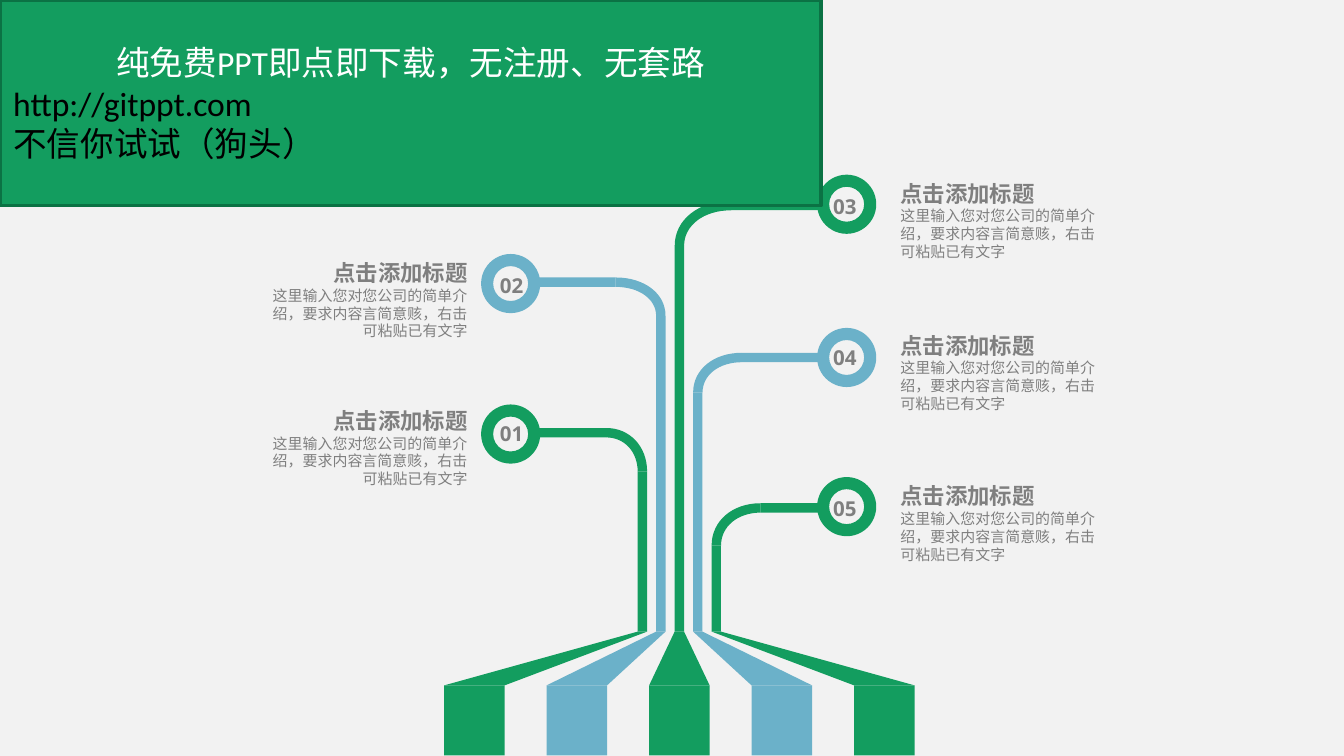
from lxml import etree
from pptx import Presentation
from pptx import util as u
from pptx.dml.color import RGBColor
from pptx.enum import shapes, text
from pptx.oxml.ns import qn

# Content
GREEN, BLUE, GREY = "139D5F", "6BB1C9", "7F7F7F"
BANNER = ["纯免费PPT即点即下载，无注册、无套路", "http://gitppt.com", "不信你试试（狗头）"]
TITLE = "点击添加标题"
BODY = "这里输入您对您公司的简单介绍，要求内容言简意赅，右击可粘贴已有文字"
# number, colour, side (-1 left, 1 right), caption top, ring centre y, arm y, bend x, stem top
BRANCHES = [
    ("01", GREEN, -1, 2.99, 3.23, 3.22, 4.51, 3.51),
    ("02", BLUE, -1, 1.89, 2.11, 2.10, 4.58, 2.35),
    ("03", GREEN, 1, 1.30, 1.52, 1.53, 5.44, 1.83),
    ("04", BLUE, 1, 2.43, 2.66, 2.66, 5.52, 2.92),
    ("05", GREEN, 1, 3.55, 3.77, 3.78, 5.66, 4.06),
]

# Layout in inches: first and last centres, then sizes
BLOCK_SPAN, STEM_SPAN = (3.53, 6.58), (4.78, 5.33)
BLOCK_WIDTH, BLOCK_TOP, BLOCK_HEIGHT = 0.45, 5.1, 0.52
STEM_BOTTOM, PIPE = 4.7, 0.07
RING_X = {-1: 3.8, 1: 6.3}
RING, RING_BAND = 0.44, 0.09
CAPTION_X, CAPTION_WIDTH = {-1: 1.85, 1: 6.63}, 1.7
LABEL_X = {-1: 3.65, 1: 6.13}

presentation = Presentation()
presentation.slide_width = u.Inches(10)
presentation.slide_height = presentation.slide_width * 9 // 16
slide = presentation.slides.add_slide(presentation.slide_layouts[6])


def color(value):
    return RGBColor.from_string(value)


def spread(span, index):
    first, last = span
    return first + (last - first) * index / (len(BRANCHES) - 1)


def paint(shape, fill):
    shape.shadow.inherit = False
    shape.fill.solid()
    shape.fill.fore_color.rgb = color(fill)
    shape.line.fill.background()
    return shape


def add_preset(kind, left, top, width, height, fill):
    box = [u.Inches(value) for value in (left, top, width, height)]
    return paint(slide.shapes.add_shape(kind, *box), fill)


def add_outline(points, fill):
    points = [(u.Inches(x), u.Inches(y)) for x, y in points]
    builder = slide.shapes.build_freeform(*points[0])
    builder.add_line_segments(points[1:], close=True)
    return paint(builder.convert_to_shape(), fill)


def quarter_curve(start, end, steps=16, pull=0.58):
    """Points of a curve that leaves start upwards and reaches end sideways."""
    (x0, y0), (x3, y3) = start, end
    y1, x2 = y0 + (y3 - y0) * pull, x3 + (x0 - x3) * pull
    points = []
    for step in range(steps + 1):
        t = step / steps
        a, b, c, d = (1 - t) ** 3, 3 * t * (1 - t) ** 2, 3 * t * t * (1 - t), t ** 3
        points.append((a * x0 + b * x0 + c * x2 + d * x3,
                       a * y0 + b * y1 + c * y3 + d * y3))
    return points


def style(paragraph, size, fill, font, bold=False, align=text.PP_ALIGN.LEFT):
    paragraph.alignment = align
    for run in paragraph.runs:
        run.font.size, run.font.bold, run.font.name = u.Pt(size), bold, font
        run.font.color.rgb = color(fill)
        if "CJK" in font:
            east_asian = etree.SubElement(run.font._element, qn("a:ea"))
            east_asian.set("typeface", font)


def add_text(left, top, width, height, lines, wrap=True):
    box = slide.shapes.add_textbox(*[u.Inches(v) for v in (left, top, width, height)])
    frame = box.text_frame
    frame.word_wrap = wrap
    frame.auto_size = text.MSO_AUTO_SIZE.SHAPE_TO_FIT_TEXT
    frame.margin_left = frame.margin_right = u.Inches(0.07)
    frame.margin_top = frame.margin_bottom = u.Inches(0.04)
    frame.text = "\n".join(lines)
    return frame.paragraphs


def add_branch(index, fill, side, ring_y, arm_y, bend_x, stem_top):
    block_x, stem_x = spread(BLOCK_SPAN, index), spread(STEM_SPAN, index)
    half, half_block = PIPE / 2, BLOCK_WIDTH / 2
    rectangle = shapes.MSO_SHAPE.RECTANGLE

    # Block at the foot and the funnel above it
    add_outline([(stem_x - half, STEM_BOTTOM), (stem_x + half, STEM_BOTTOM),
                 (block_x + half_block, BLOCK_TOP), (block_x - half_block, BLOCK_TOP)], fill)
    add_preset(rectangle, block_x - half_block, BLOCK_TOP, BLOCK_WIDTH, BLOCK_HEIGHT, fill)

    # Stem, bend and arm
    add_preset(rectangle, stem_x - half, stem_top, PIPE, STEM_BOTTOM - stem_top, fill)
    outer, inner = [quarter_curve((stem_x + side * offset, stem_top), (bend_x, arm_y + offset))
                    for offset in (-half, half)]
    add_outline(outer + inner[::-1], fill)
    arm_end = RING_X[side] - side * (RING / 2 - 0.02)
    add_preset(rectangle, min(bend_x, arm_end), arm_y - half, abs(arm_end - bend_x), PIPE, fill)

    # Ring
    ring = add_preset(shapes.MSO_SHAPE.DONUT, RING_X[side] - RING / 2, ring_y - RING / 2,
                      RING, RING, fill)
    ring.adjustments[0] = RING_BAND / RING


def add_labels(number, side, top):
    align = text.PP_ALIGN.RIGHT if side < 0 else text.PP_ALIGN.LEFT
    title, body = add_text(CAPTION_X[side], top, CAPTION_WIDTH, 0.67, [TITLE, BODY])
    style(title, 12, GREY, "Noto Sans CJK SC", True, align)
    style(body, 8, GREY, "Noto Sans CJK SC", False, align)
    label, = add_text(LABEL_X[side], top + 0.1, 0.33, 0.26, [number], wrap=False)
    style(label, 11, GREY, "Open Sans", True)


# Background and the five branches
slide.background.fill.solid()
slide.background.fill.fore_color.rgb = color("F2F2F2")
for index, (number, fill, side, caption_top, *pipe) in enumerate(BRANCHES):
    add_branch(index, fill, side, *pipe)
    add_labels(number, side, caption_top)

# Banner
banner = add_preset(shapes.MSO_SHAPE.RECTANGLE, 0, 0, 6.11, 1.53, GREEN)
banner.line.color.rgb = color("0B7244")
banner.line.width = u.Pt(2)
banner.text_frame.word_wrap = True
banner.text_frame.vertical_anchor = text.MSO_ANCHOR.MIDDLE
banner.text_frame.text = "\n".join(BANNER)
heading, *details = banner.text_frame.paragraphs
style(heading, 18, "FFFFFF", "Calibri", align=text.PP_ALIGN.CENTER)
for paragraph in details:
    style(paragraph, 18, "000000", "Calibri")

presentation.save("out.pptx")
